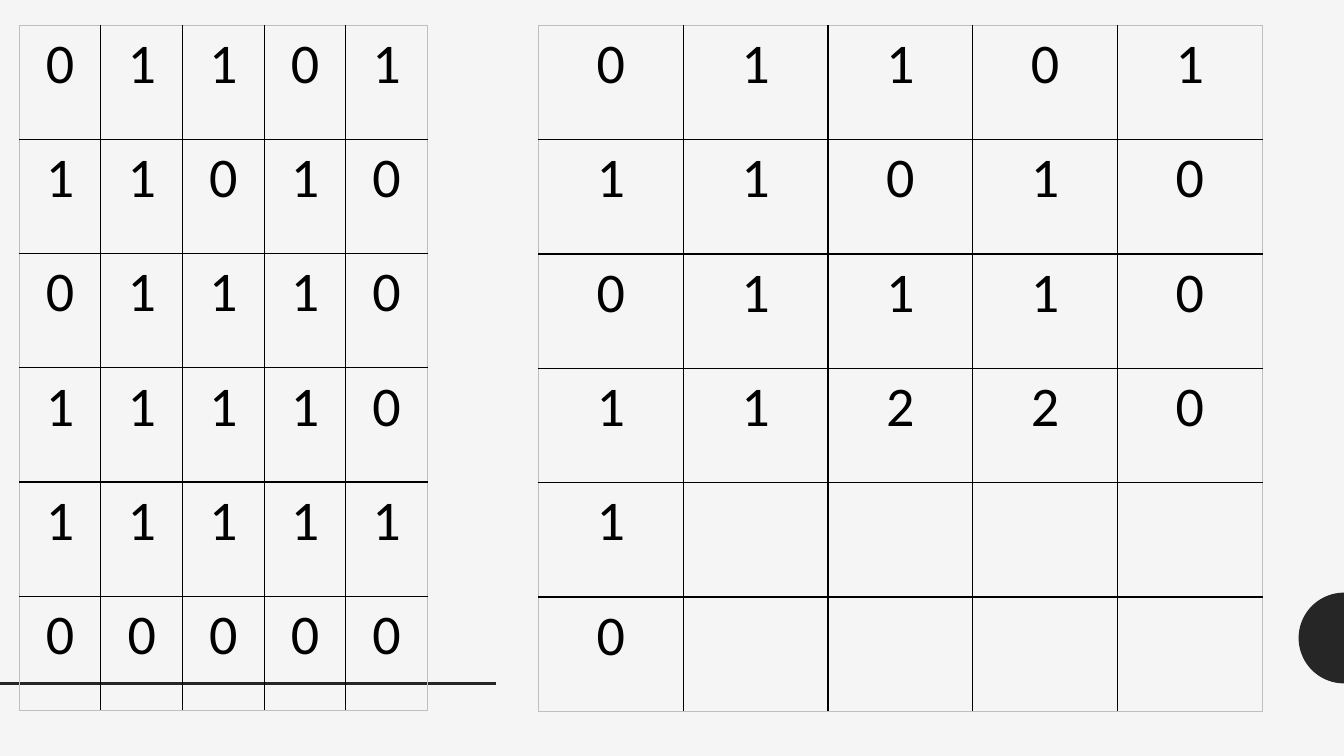
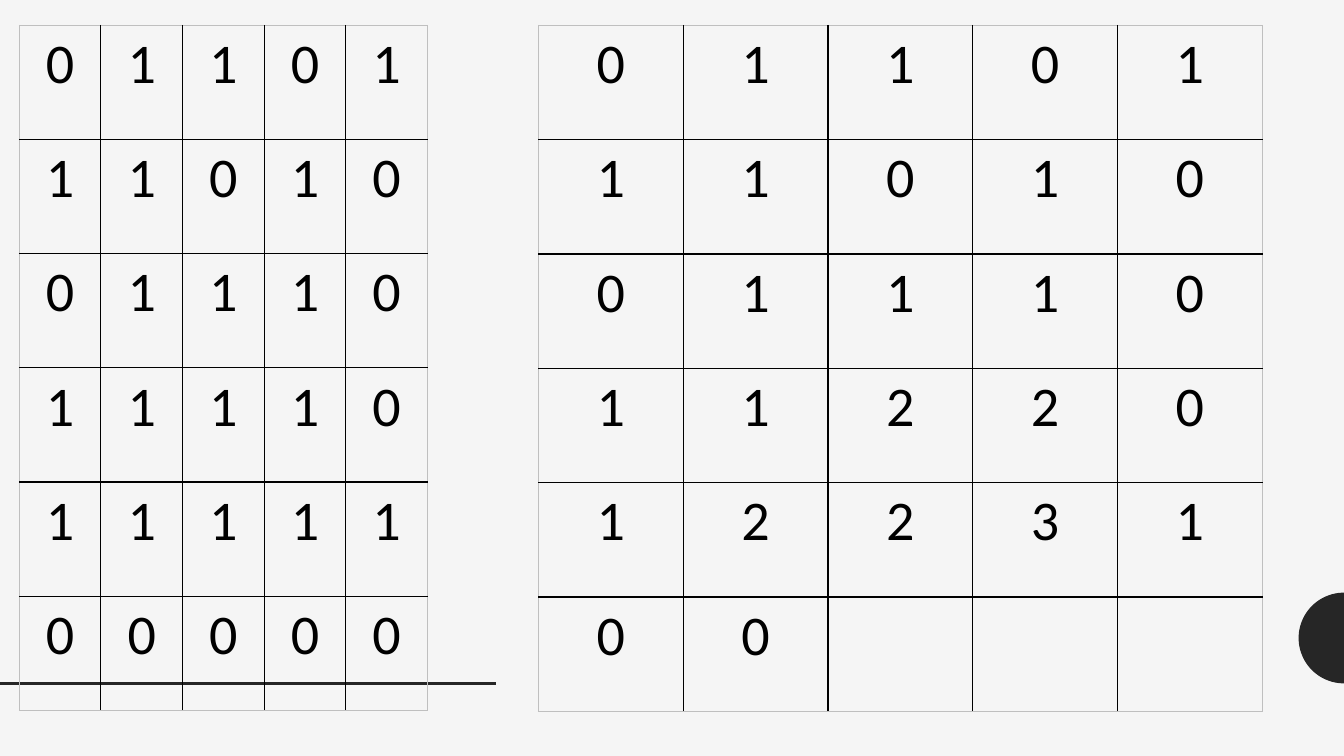
"""Build two slides that trace the largest-square table of a binary matrix."""
import dataclasses
import math
import typing

import lxml.etree
import pptx
import pptx.dml.color
import pptx.enum.shapes
import pptx.enum.text
import pptx.oxml.ns
import pptx.slide
import pptx.util

Inches = pptx.util.Inches
Pt = pptx.util.Pt

BACKGROUND = "F5F5F5"
DARK = "262626"
BLACK = "000000"
EDGE_GRAY = "BFBFBF"
INNER_WIDTH = 1
EDGE_WIDTH = 0.5
DIGIT_FONT = {"name": "Calibri", "size": Pt(40), "bold": False}
SLIDE_WIDTH, SLIDE_HEIGHT = 13.33, 7.5
ROW_COUNT, COLUMN_COUNT = 6, 5


@dataclasses.dataclass(frozen=True)
class Grid:
    """Position and size of a digit table, in inches."""

    left: float
    top: float
    width: float
    height: float


MATRIX_GRID = Grid(0.19, 0.25, 4.05, 6.8)
SQUARES_GRID = Grid(5.34, 0.25, 7.18, 6.81)

# Each string is one row and each character one cell.
MATRIX = ["01101", "11010", "01110", "11110", "11111", "00000"]
SOLVED_ROWS = ["01101", "11010", "01110", "11220"]
STEPS = [
    SOLVED_ROWS + ["1", "0"],
    SOLVED_ROWS + ["12231", "00"],
]


def color(value: str) -> pptx.dml.color.RGBColor:
    """Turn a hex string into a colour."""
    return pptx.dml.color.RGBColor.from_string(value)


def set_border(properties: typing.Any, side: str, on_edge: bool) -> None:
    """Add one cell border: gray on the table's edge, black inside."""
    width, line_color = (EDGE_WIDTH, EDGE_GRAY) if on_edge else (INNER_WIDTH, BLACK)
    qualified = pptx.oxml.ns.qn
    line = lxml.etree.SubElement(properties, qualified(f"a:ln{side}"), w=str(Pt(width)))
    fill = lxml.etree.SubElement(line, qualified("a:solidFill"))
    lxml.etree.SubElement(fill, qualified("a:srgbClr"), val=line_color)


def write_digit(cell: typing.Any, digit: str) -> None:
    """Write one centred digit into a cell."""
    paragraph = cell.text_frame.paragraphs[0]
    paragraph.alignment = pptx.enum.text.PP_ALIGN.CENTER
    run = paragraph.add_run()
    run.text = digit
    for name, value in DIGIT_FONT.items():
        setattr(run.font, name, value)
    run.font.color.rgb = color(BLACK)


def add_grid(slide: pptx.slide.Slide, grid: Grid, rows: list[str]) -> None:
    """Draw a table of digits; cells past the end of a row stay empty."""
    bounds = [Inches(value) for value in dataclasses.astuple(grid)]
    table = slide.shapes.add_table(ROW_COUNT, COLUMN_COUNT, *bounds).table
    table.first_row = table.horz_banding = False
    for row_index, digits in enumerate(rows):
        for column_index in range(COLUMN_COUNT):
            cell = table.cell(row_index, column_index)
            edges = {
                "L": column_index == 0,
                "R": column_index == COLUMN_COUNT - 1,
                "T": row_index == 0,
                "B": row_index == ROW_COUNT - 1,
            }
            properties = cell._tc.get_or_add_tcPr()
            for side, on_edge in edges.items():
                set_border(properties, side, on_edge)
            cell.fill.background()
            if column_index < len(digits):
                write_digit(cell, digits[column_index])


def add_half_disc(slide: pptx.slide.Slide) -> typing.Any:
    """Draw the dark half disc on the slide's right edge."""
    center_y, radius, segments = 6.33, 0.45, 48
    points = []
    for step in range(segments + 1):
        angle = math.pi * step / segments
        x = SLIDE_WIDTH - radius * math.sin(angle)
        y = center_y + radius * math.cos(angle)
        points.append((Inches(x), Inches(y)))
    builder = slide.shapes.build_freeform(*points[0])
    builder.add_line_segments(points[1:], close=True)
    shape = builder.convert_to_shape()
    shape.shadow.inherit = False
    shape.fill.solid()
    shape.fill.fore_color.rgb = color(DARK)
    shape.line.fill.background()
    return shape


def add_rule(slide: pptx.slide.Slide) -> typing.Any:
    """Draw the dark horizontal rule at the lower left."""
    rule_y = Inches(6.78)
    rule = slide.shapes.add_connector(
        pptx.enum.shapes.MSO_CONNECTOR.STRAIGHT, 0, rule_y, Inches(4.92), rule_y
    )
    rule.line.color.rgb = color(DARK)
    rule.line.width = Pt(2)
    lxml.etree.SubElement(rule.element.spPr, pptx.oxml.ns.qn("a:effectLst"))
    return rule


def decorate_layout(layout: pptx.slide.SlideLayout, slide: pptx.slide.Slide) -> None:
    """Give the layout its background and move the shared shapes onto it."""
    layout.background.fill.solid()
    layout.background.fill.fore_color.rgb = color(BACKGROUND)
    for placeholder in list(layout.placeholders):
        layout.shapes.element.remove(placeholder.element)
    for shape in [add_half_disc(slide), add_rule(slide)]:
        layout.shapes.element.append(shape.element)


def main() -> None:
    """Build and save the presentation."""
    presentation = pptx.Presentation()
    presentation.slide_width = Inches(SLIDE_WIDTH)
    presentation.slide_height = Inches(SLIDE_HEIGHT)
    layout = presentation.slide_layouts.get_by_name("Blank")
    slides = [presentation.slides.add_slide(layout) for _ in STEPS]
    decorate_layout(layout, slides[0])
    for slide, squares in zip(slides, STEPS):
        add_grid(slide, MATRIX_GRID, MATRIX)
        add_grid(slide, SQUARES_GRID, squares)
    presentation.save("out.pptx")


main()
